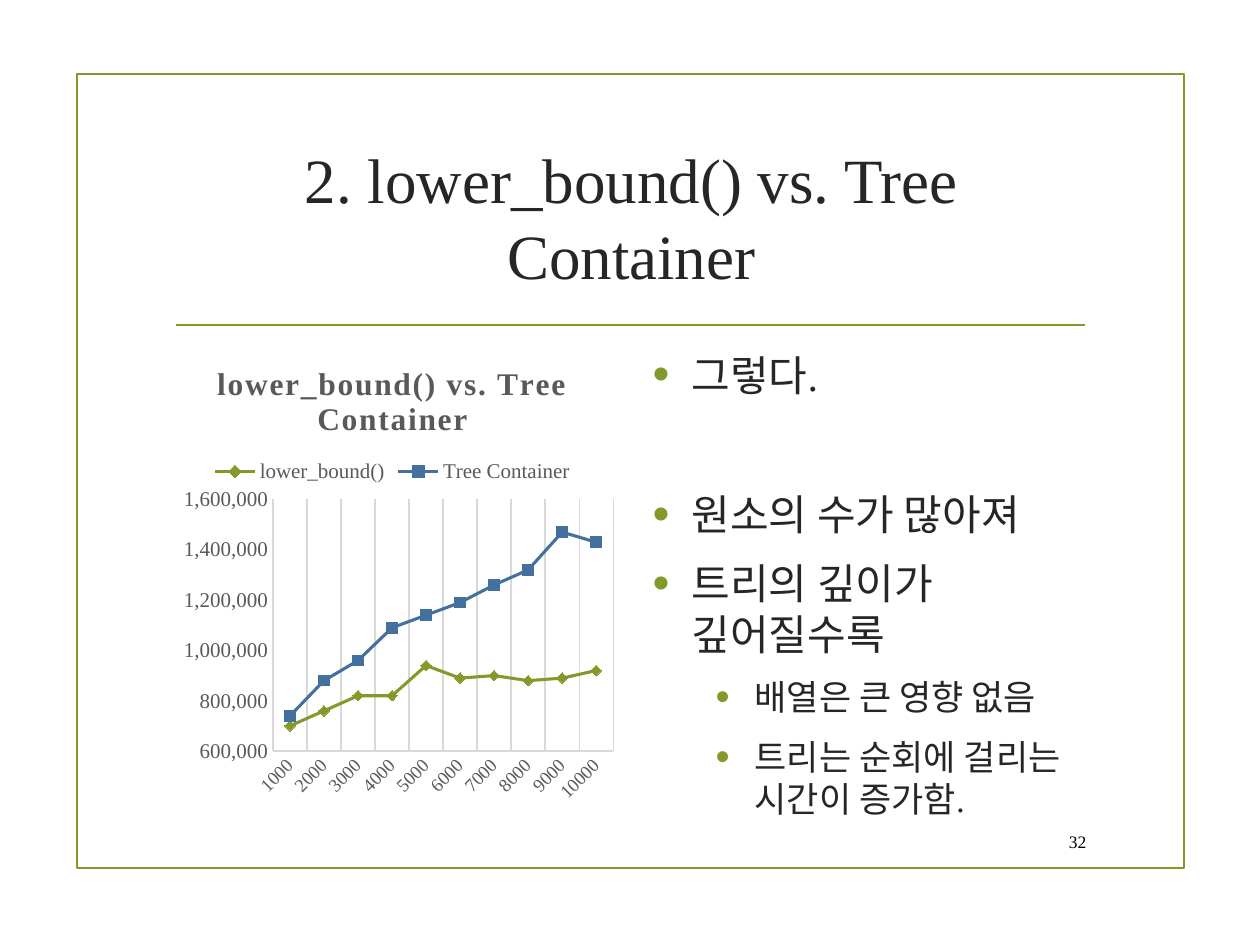
from lxml.etree import SubElement
from pptx import Presentation
from pptx.chart.data import CategoryChartData
from pptx.dml.color import RGBColor
from pptx.enum.chart import XL_CHART_TYPE, XL_LEGEND_POSITION, XL_MARKER_STYLE, XL_TICK_MARK
from pptx.enum.shapes import MSO_CONNECTOR, MSO_SHAPE
from pptx.enum.text import MSO_ANCHOR, MSO_AUTO_SIZE, PP_ALIGN
from pptx.oxml.ns import qn
from pptx.util import Inches, Pt

GREEN = RGBColor(0x83, 0x99, 0x2A)
BLUE = RGBColor(0x44, 0x70, 0x9D)
INK = RGBColor(0x26, 0x26, 0x26)
GRAY = RGBColor(0x59, 0x59, 0x59)
GRID = RGBColor(0xD9, 0xD9, 0xD9)
BLACK = RGBColor(0, 0, 0)
FONT = "Times New Roman"

# Content grid: two equal columns under the title
LEFT, WIDTH, GUTTER = 1.29, 7.44, 0.14
COLUMN = (WIDTH - GUTTER) / 2
ROW_TOP, ROW_HEIGHT = 2.72, 3.77

TITLE = "2. lower_bound() vs. Tree Container"
CHART_TITLE = "lower_bound() vs. Tree Container"
SIZES = range(1000, 10001, 1000)
SERIES = [
    ("lower_bound()", GREEN, XL_MARKER_STYLE.DIAMOND,
     (700000, 760000, 820000, 820000, 940000, 890000, 900000, 880000, 890000, 920000)),
    ("Tree Container", BLUE, XL_MARKER_STYLE.SQUARE,
     (740000, 880000, 960000, 1090000, 1140000, 1190000, 1260000, 1320000, 1470000, 1430000)),
]
# Text, level, space after in points
BULLETS = [
    ("그렇다.", 0, 46),
    ("원소의 수가 많아져", 0, 6),
    ("트리의 깊이가 깊어질수록", 0, 6),
    ("배열은 큰 영향 없음", 1, 6),
    ("트리는 순회에 걸리는 시간이 증가함.", 1, 6),
]


def inches(*box):
    return [Inches(length) for length in box]


def place(shape, box):
    shape.left, shape.top, shape.width, shape.height = inches(*box)


def style_font(font, size, color, bold=False):
    font.name, font.size, font.bold = FONT, Pt(size), bold
    font.color.rgb = color


def style_line(line, color, width):
    line.color.rgb, line.width = color, Pt(width)


def add_frame(slide, box):
    frame = slide.shapes.add_shape(MSO_SHAPE.RECTANGLE, *inches(*box))
    frame.shadow.inherit = False
    frame.fill.background()
    style_line(frame.line, GREEN, 1.25)


def add_rule(slide, left, right, top):
    rule = slide.shapes.add_connector(MSO_CONNECTOR.STRAIGHT, *inches(left, top, right, top))
    style_line(rule.line, GREEN, 1.25)
    SubElement(rule._element.spPr, qn("a:effectLst"))


def fill_title(slide, box):
    title = slide.shapes.title
    place(title, box)
    frame = title.text_frame
    frame.text = TITLE
    frame.auto_size = MSO_AUTO_SIZE.NONE
    frame.vertical_anchor = MSO_ANCHOR.MIDDLE
    frame.paragraphs[0].alignment = PP_ALIGN.CENTER
    style_font(frame.paragraphs[0].runs[0].font, 36, INK)


def add_bullet(paragraph, level):
    properties = paragraph._p.get_or_add_pPr()
    properties.set("marL", str(Inches(0.31 + 0.5 * level)))
    properties.set("indent", str(Inches(-0.31)))
    color = SubElement(properties, qn("a:buClr"))
    SubElement(color, qn("a:srgbClr"), val=str(GREEN))
    SubElement(properties, qn("a:buSzPct"), val="115000")
    SubElement(properties, qn("a:buFont"), typeface="Arial")
    SubElement(properties, qn("a:buChar"), char="•")


def fill_body(slide, box):
    body = slide.placeholders[1]
    place(body, box)
    frame = body.text_frame
    frame.text = "\n".join(text for text, _, _ in BULLETS)
    frame.auto_size = MSO_AUTO_SIZE.NONE
    for paragraph, (_, level, space_after) in zip(frame.paragraphs, BULLETS):
        size = 24 - 4 * level
        paragraph.level = level
        paragraph.space_before = Pt(size * 0.2)
        paragraph.space_after = Pt(space_after)
        add_bullet(paragraph, level)
        style_font(paragraph.runs[0].font, size, INK)


def style_axis(axis, size):
    axis.major_tick_mark = axis.minor_tick_mark = XL_TICK_MARK.NONE
    style_font(axis.tick_labels.font, size, GRAY)
    style_line(axis.format.line, GRID, 0.75)


def set_plot_layout(chart, **shares):
    plot_area = chart._chartSpace.chart.plotArea
    layout = plot_area.find(qn("c:layout"))
    if layout is None:
        layout = SubElement(plot_area, qn("c:layout"))
        plot_area.insert(0, layout)
    manual = SubElement(layout, qn("c:manualLayout"))
    SubElement(manual, qn("c:layoutTarget"), val="inner")
    for mode in ("xMode", "yMode"):
        SubElement(manual, qn(f"c:{mode}"), val="edge")
    for name, share in shares.items():
        SubElement(manual, qn(f"c:{name}"), val=str(share))


def add_line_chart(slide, box):
    data = CategoryChartData(number_format="#,##0")
    data.categories = [str(size) for size in SIZES]
    for name, _, _, values in SERIES:
        data.add_series(name, values)
    chart = slide.shapes.add_chart(XL_CHART_TYPE.LINE_MARKERS, *inches(*box), data).chart
    style_font(chart.font, 10, BLACK)

    # Title and legend
    chart.has_title = True
    chart.chart_title.include_in_layout = False
    frame = chart.chart_title.text_frame
    frame.text = CHART_TITLE
    run = frame.paragraphs[0].runs[0]
    style_font(run.font, 18, GRAY, bold=True)
    run.font._element.set("spc", "100")
    chart.has_legend = True
    chart.legend.position = XL_LEGEND_POSITION.TOP
    chart.legend.include_in_layout = False
    style_font(chart.legend.font, 12, GRAY)

    # Axes
    categories, values = chart.category_axis, chart.value_axis
    style_axis(categories, 10.6)
    style_axis(values, 12)
    categories.has_major_gridlines = True
    style_line(categories.major_gridlines.format.line, GRID, 0.75)
    categories._element.txPr.bodyPr.set("rot", "-2700000")
    values.has_major_gridlines = False
    values.minimum_scale, values.maximum_scale = 600000, 1600000
    values.major_unit = 200000
    values.tick_labels.number_format = "#,##0"
    values.tick_labels.number_format_is_linked = False
    set_plot_layout(chart, x=0.24, y=0.33, w=0.74, h=0.53)

    # Series
    chart.plots[0].vary_by_categories = False
    for series, (_, color, marker, _) in zip(chart.plots[0].series, SERIES):
        series.smooth = False
        style_line(series.format.line, color, 1.75)
        series.marker.style, series.marker.size = marker, 6
        series.marker.format.fill.solid()
        series.marker.format.fill.fore_color.rgb = color
        series.marker.format.line.color.rgb = color


def add_page_number(slide, box):
    frame = slide.shapes.add_textbox(*inches(*box)).text_frame
    frame.text = "32"
    frame.word_wrap = True
    frame.vertical_anchor = MSO_ANCHOR.MIDDLE
    frame.paragraphs[0].alignment = PP_ALIGN.RIGHT
    style_font(frame.paragraphs[0].runs[0].font, 10, BLACK)


def main():
    presentation = Presentation()
    presentation.slide_width, presentation.slide_height = inches(10, 7.5)
    slide = presentation.slides.add_slide(presentation.slide_layouts[1])
    add_frame(slide, (0.61, 0.59, 8.79, 6.3))
    add_rule(slide, 1.4, 8.61, 2.58)
    fill_title(slide, (LEFT, 1, WIDTH, 1.43))
    add_line_chart(slide, (LEFT, ROW_TOP, COLUMN, ROW_HEIGHT))
    fill_body(slide, (LEFT + COLUMN + GUTTER, ROW_TOP, COLUMN, ROW_HEIGHT))
    add_page_number(slide, (8.29, 6.52, 0.43, 0.31))
    presentation.save("out.pptx")


if __name__ == "__main__":
    main()
